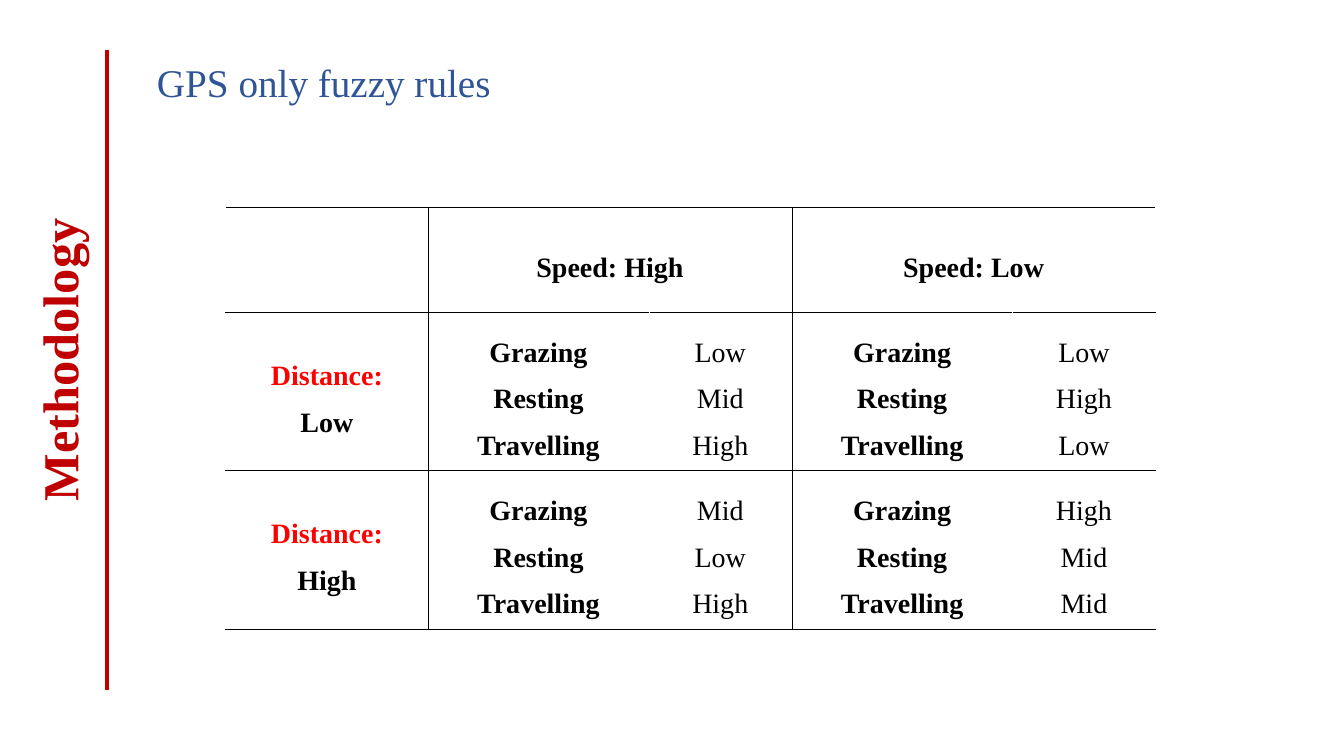
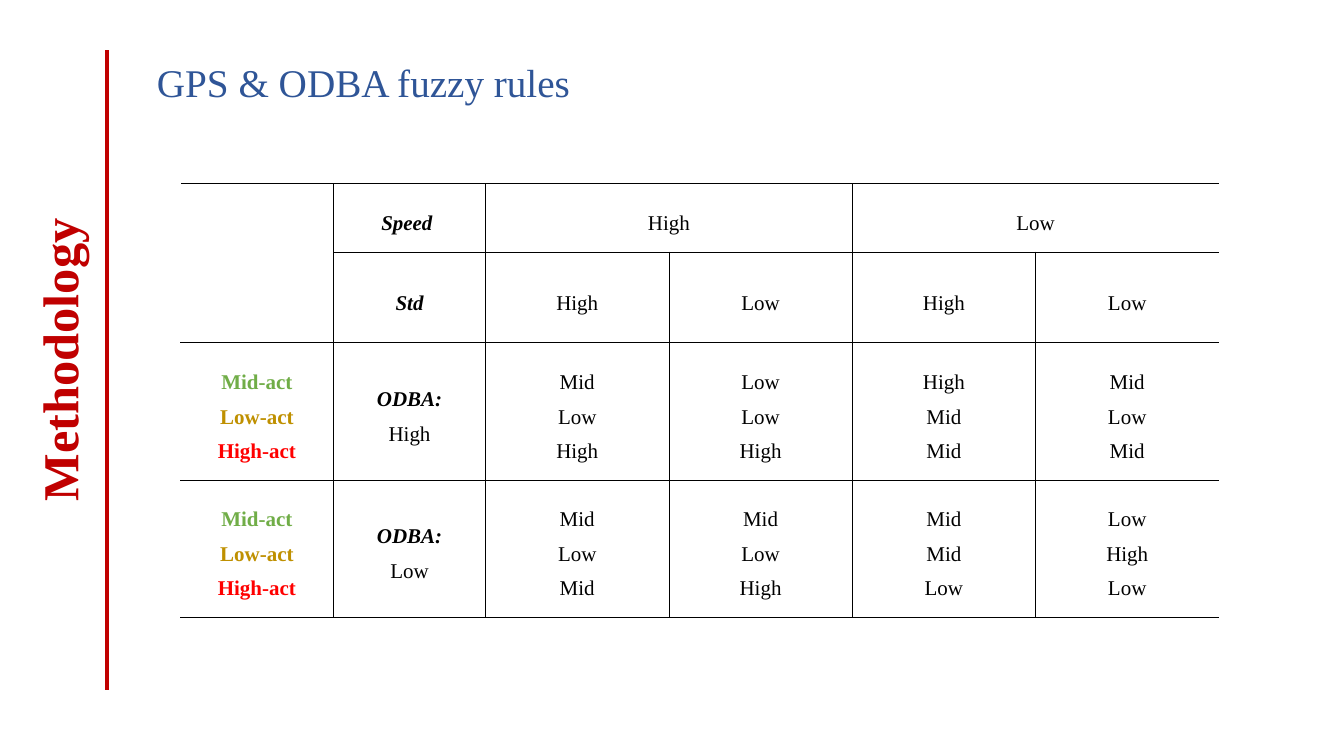
import pptx
import pptx.dml.color
import pptx.enum.shapes
import pptx.enum.text
import pptx.oxml
import pptx.oxml.ns
import pptx.util
from lxml import etree

PX = 9144  # EMU per px, 100 px to the inch
FONT = "Times New Roman"
RGB = pptx.dml.color.RGBColor
BLACK = RGB(0x00, 0x00, 0x00)
WHITE = RGB(0xFF, 0xFF, 0xFF)
CRIMSON = RGB(0xC0, 0x00, 0x00)
RED = RGB(0xFF, 0x00, 0x00)
BLUE = RGB(0x2F, 0x55, 0x97)
GREEN = RGB(0x70, 0xAD, 0x47)
GOLD = RGB(0xBF, 0x90, 0x00)

# Words with their own look inside the tables
WORD_COLOURS = {"Distance:": RED, "Mid-act": GREEN, "Low-act": GOLD, "High-act": RED}
BOLD_ITALIC_WORDS = {"Speed ", "Std", "ODBA:"}

BEHAVIOURS = "Grazing\nResting\nTravelling"
ACTIVITIES = "Mid-act\nLow-act\nHigh-act"


class Deck:
    """The style of the presentation and the slide being built."""

    def __init__(self):
        self.show = pptx.Presentation()
        self.show.slide_width = 1334 * PX
        self.show.slide_height = 750 * PX
        self.page = None

    def add_page(self, title):
        self.page = self.show.slides.add_slide(self.show.slide_layouts[6])
        section = self.text("Methodology", (-92, 322, 300, 70), 36, CRIMSON, bold=True)
        section.rotation = 270
        section.text_frame.margin_right = 0  # room for the word on one line
        self.rule((106, 50), (106, 685), CRIMSON, 3)
        heading = self.text(title, (146, 50, 100, 100), 28, BLUE)
        heading.text_frame.paragraphs[0].line_spacing = 1.07

    def style(self, para, size, colour, bold=False, italic=False):
        for span in para.runs:
            font = span.font
            font.name, font.size = FONT, pptx.util.Pt(size)
            font.bold, font.italic = bold, italic
            font.color.rgb = colour

    def text(self, words, place, size, colour, bold=False):
        box = self.page.shapes.add_textbox(*(length * PX for length in place))
        frame = box.text_frame
        frame.auto_size = pptx.enum.text.MSO_AUTO_SIZE.NONE
        frame.word_wrap = False
        frame.text = words
        self.style(frame.paragraphs[0], size, colour, bold)
        return box

    def rule(self, start, end, colour, width):
        line = self.page.shapes.add_connector(
            pptx.enum.shapes.MSO_CONNECTOR.STRAIGHT,
            *(length * PX for length in start + end))
        line.line.color.rgb = colour
        line.line.width = pptx.util.Pt(width)
        properties = line._element.spPr
        etree.SubElement(properties, pptx.oxml.ns.qn("a:effectLst"))

    def border(self, cell, left, right):
        """Black above and below; the given colours at the sides."""
        properties = cell._tc.get_or_add_tcPr()
        edges = {"L": left, "R": right, "T": BLACK, "B": BLACK}
        for place, (side, colour) in enumerate(edges.items()):
            properties.insert(place, pptx.oxml.parse_xml(
                f'<a:ln{side} {pptx.oxml.ns.nsdecls("a")} w="5715"><a:solidFill>'
                f'<a:srgbClr val="{colour}"/></a:solidFill></a:ln{side}>'))

    def fill_cell(self, cell, words, size, bold, margin):
        cell.fill.background()
        cell.vertical_anchor = pptx.enum.text.MSO_ANCHOR.MIDDLE
        cell.margin_left = cell.margin_right = margin * PX
        cell.margin_top = cell.margin_bottom = 5 * PX
        cell.text_frame.text = words
        for para in cell.text_frame.paragraphs:
            para.alignment = pptx.enum.text.PP_ALIGN.CENTER
            para.line_spacing = 1.5
            special = para.text in BOLD_ITALIC_WORDS
            self.style(para, size, WORD_COLOURS.get(para.text, BLACK),
                       bold or special, special)

    def table(self, corner, widths, heights, rows, merges, dividers,
              bold_columns, size, margin):
        """Dividers are the column boundaries drawn in black."""
        left, top = corner
        grid = self.page.shapes.add_table(
            len(heights), len(widths), left * PX, top * PX,
            sum(widths) * PX, sum(heights) * PX).table
        grid.first_row = grid.horz_banding = False
        for column, width in zip(grid.columns, widths):
            column.width = width * PX
        for row, height in zip(grid.rows, heights):
            row.height = height * PX
        for first, last in merges:
            grid.cell(*first).merge(grid.cell(*last))

        def edge(boundary):
            return BLACK if boundary in dividers else WHITE

        for r, row in enumerate(rows):
            for c, words in enumerate(row):
                cell = grid.cell(r, c)
                if cell.is_spanned:
                    continue
                self.fill_cell(cell, words, size, c in bold_columns, margin)
                reach = cell.span_width if cell.is_merge_origin else 1
                self.border(cell, edge(c), edge(c + reach))


def main():
    deck = Deck()

    # Rules from position data alone
    deck.add_page("GPS only fuzzy rules")
    deck.table(
        (224, 206), [201] + [219, 142] * 2, [104, 157, 157],
        [["", "Speed: High", "", "Speed: Low", ""],
         ["Distance:\nLow", BEHAVIOURS, "Low\nMid\nHigh", BEHAVIOURS, "Low\nHigh\nLow"],
         ["Distance:\nHigh", BEHAVIOURS, "Mid\nLow\nHigh", BEHAVIOURS, "High\nMid\nMid"]],
        merges=[((0, 1), (0, 2)), ((0, 3), (0, 4))],
        dividers={1, 3}, bold_columns={0, 1, 3}, size=20, margin=13)

    # Rules from position and acceleration
    deck.add_page("GPS & ODBA fuzzy rules")
    deck.table(
        (179, 182), [152, 151] + [182] * 4, [68, 90, 136, 136],
        [["", "Speed ", "High", "", "Low", ""],
         ["", "Std", "High", "Low", "High", "Low"],
         [ACTIVITIES, "ODBA:\nHigh", "Mid\nLow\nHigh", "Low\nLow\nHigh",
          "High\nMid\nMid", "Mid\nLow\nMid"],
         [ACTIVITIES, "ODBA:\nLow", "Mid\nLow\nMid", "Mid\nLow\nHigh",
          "Mid\nMid\nLow", "Low\nHigh\nLow"]],
        merges=[((0, 0), (1, 0)), ((0, 2), (0, 3)), ((0, 4), (0, 5))],
        dividers={1, 2, 3, 4, 5}, bold_columns={0}, size=15, margin=8)

    deck.show.save("out.pptx")


if __name__ == "__main__":
    main()
